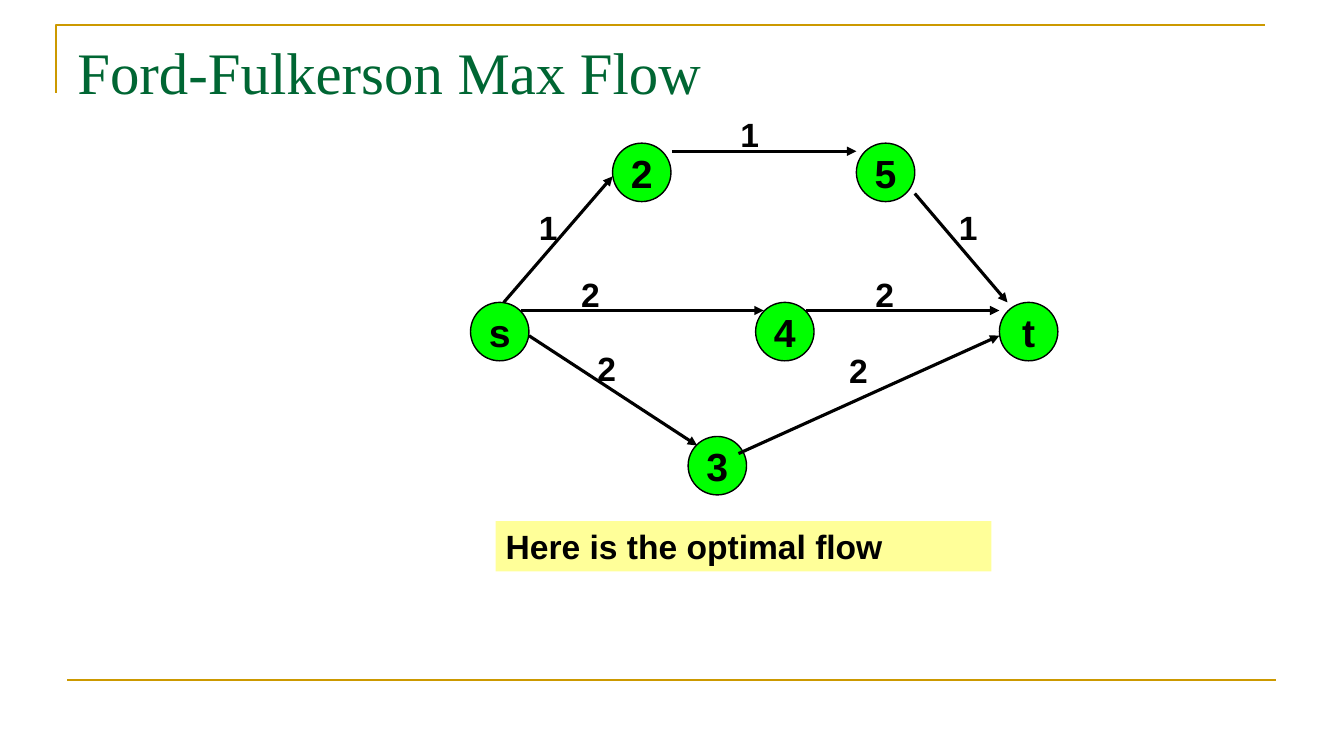
from lxml import etree
from pptx import Presentation
from pptx import util as u
from pptx.dml.color import RGBColor
from pptx.enum import shapes, text
from pptx.oxml.ns import qn

COLORS = {"gold": "CC9900", "title": "006633", "ink": "000000",
          "node": "00FF00", "note": "FFFF99"}
NODE_SIZE = 0.58
NODES = {"s": (0, 1.92), "2": (1.41, 0.34), "4": (2.83, 1.92),
         "5": (3.83, 0.34), "3": (2.16, 3.25), "t": (5.25, 1.92)}
FLOW_LABELS = [("1", 2.58, 0), ("1", 4.75, 0.92), ("2", 3.92, 1.59),
               ("2", 3.66, 2.34), ("2", 1, 1.59), ("1", 0.58, 0.92),
               ("2", 1.16, 2.32)]
EDGES = [("s", (0.58, 0.33), "3", (0.09, 0.09)),
         ("s", (0.33, 0), "2", (0, 0.33)),
         ("s", (0.5, 0.08), "4", (0.08, 0.08)),
         ("2", (0.59, 0.08), "5", (0, 0.08)),
         ("4", (0.5, 0.08), "t", (0, 0.08)),
         ("3", (0.5, 0.17), "t", (0, 0.33)),
         ("5", (0.58, 0.5), "t", (0.08, 0))]


def color(name):
    return RGBColor.from_string(COLORS[name])


def write(shape, content, size=24, font="Arial", ink="ink", bold=True,
          align=text.PP_ALIGN.LEFT, anchor=text.MSO_ANCHOR.TOP, wrap=True):
    frame = shape.text_frame
    frame.word_wrap = wrap
    frame.vertical_anchor = anchor
    paragraph = frame.paragraphs[0]
    paragraph.text = content
    paragraph.alignment = align
    paragraph.font.size = u.Pt(size)
    paragraph.font.name = font
    paragraph.font.bold = bold
    paragraph.font.color.rgb = color(ink)


def add_text(slide, content, left, top, width, height, **style):
    box = slide.shapes.add_textbox(*map(u.Inches, (left, top, width, height)))
    write(box, content, **style)


def add_filled(slide, kind, fill, left, top, width, height):
    shape = slide.shapes.add_shape(kind, *map(u.Inches, (left, top, width, height)))
    shape.shadow.inherit = False
    shape.fill.solid()
    shape.fill.fore_color.rgb = color(fill)
    return shape


def add_line(slide, start, end, ink, width, arrow=False):
    line = slide.shapes.add_connector(
        shapes.MSO_CONNECTOR.STRAIGHT, *map(u.Inches, (*start, *end)))
    line.line.color.rgb = color(ink)
    line.line.width = u.Pt(width)
    properties = line._element.spPr
    if arrow:
        etree.SubElement(properties.find(qn("a:ln")), qn("a:tailEnd"), type="triangle")
    etree.SubElement(properties, qn("a:effectLst"))


def add_frame(slide, left, top, width, height):
    corner_left, corner_top = left - 0.11, top
    builder = slide.shapes.build_freeform(
        u.Inches(corner_left), u.Inches(corner_top + 0.67))
    builder.add_line_segments(
        [(u.Inches(corner_left), u.Inches(corner_top)),
         (u.Inches(corner_left + width), u.Inches(corner_top))], close=False)
    corner = builder.convert_to_shape()
    corner.shadow.inherit = False
    corner.fill.background()
    corner.line.color.rgb = color("gold")
    corner.line.width = u.Pt(1.5)
    bottom = top + height
    add_line(slide, (left, bottom), (left + width, bottom), "gold", 1.5)


def add_title(slide, left, top, width, height):
    add_text(slide, "Ford-Fulkerson Max Flow", left, top, width, height,
             size=42, font="Times New Roman", ink="title", bold=False)


def add_network(slide, left, top):
    for flow, across, down in FLOW_LABELS:
        add_text(slide, flow, left + across, top + down, 0.59, 0.5)
    for name, (across, down) in NODES.items():
        node = add_filled(slide, shapes.MSO_SHAPE.OVAL, "node",
                          left + across, top + down, NODE_SIZE, NODE_SIZE)
        node.line.color.rgb = color("ink")
        node.line.width = u.Pt(1)
        write(node, name, size=28, align=text.PP_ALIGN.CENTER,
              anchor=text.MSO_ANCHOR.MIDDLE, wrap=False)

    def point(name, offset):
        across, down = NODES[name]
        return left + across + offset[0], top + down + offset[1]

    for source, departure, target, arrival in EDGES:
        add_line(slide, point(source, departure), point(target, arrival),
                 "ink", 2.25, arrow=True)


def add_note(slide, left, top, width, height):
    note = add_filled(slide, shapes.MSO_SHAPE.RECTANGLE, "note",
                      left, top, width, height)
    note.line.fill.background()
    write(note, "Here is the optimal flow")


def main():
    presentation = Presentation()
    presentation.slide_width = u.Inches(13.34)
    presentation.slide_height = u.Inches(7.5)
    slide = presentation.slides.add_slide(presentation.slide_layouts[6])
    add_frame(slide, 0.67, 0.25, 12, 6.5)
    add_title(slide, 0.67, 0.3, 12, 1.25)
    add_network(slide, 4.67, 1.08)
    add_note(slide, 4.92, 5.17, 4.92, 0.5)
    presentation.save("out.pptx")


if __name__ == "__main__":
    main()
